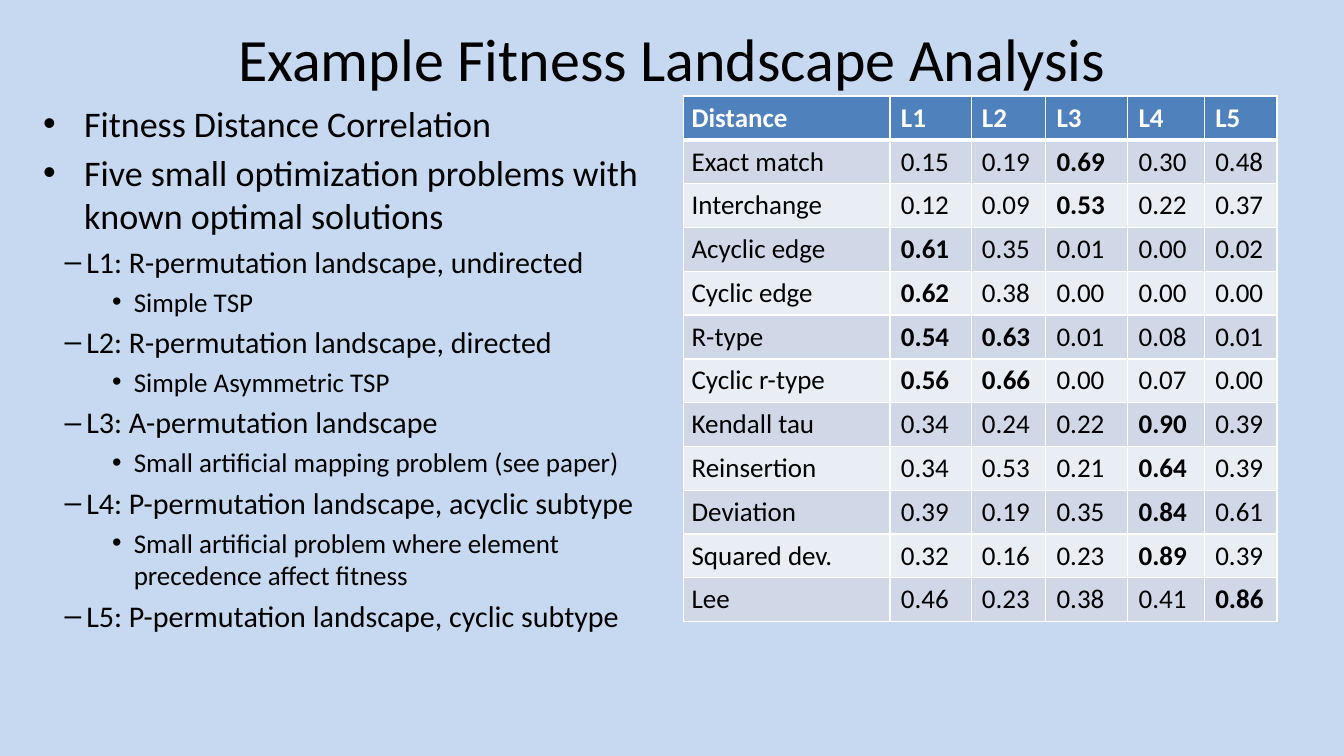
"""Build the fitness landscape analysis slide."""
from dataclasses import dataclass

from lxml import etree
from pptx import Presentation
from pptx.dml.color import RGBColor
from pptx.enum.text import MSO_ANCHOR, PP_ALIGN
from pptx.oxml.ns import qn
from pptx.util import Inches, Pt

CENTER, LEFT = PP_ALIGN.CENTER, PP_ALIGN.LEFT
MIDDLE, TOP = MSO_ANCHOR.MIDDLE, MSO_ANCHOR.TOP
FONT = "Calibri"
BLACK = RGBColor(0x00, 0x00, 0x00)
WHITE = RGBColor(0xFF, 0xFF, 0xFF)
SKY = RGBColor(0xC6, 0xD9, 0xF1)
HEADER_BLUE = RGBColor(0x4F, 0x81, 0xBD)
BANDS = (RGBColor(0xD0, 0xD8, 0xE8), RGBColor(0xE9, 0xED, 0xF4))
SLIDE_WIDTH, SLIDE_HEIGHT = Inches(12.44), Inches(7)


@dataclass(frozen=True)
class Area:
    """A rectangle in percent of the slide's width and height."""
    left: float
    top: float
    width: float
    height: float

    def box(self) -> tuple[int, int, int, int]:
        """Return the rectangle as slide lengths."""
        return (across(self.left), down(self.top), across(self.width), down(self.height))


@dataclass(frozen=True)
class Level:
    """The look of one outline level, with indents in percent of the slide's width."""
    size: int
    margin: float
    hanging: float
    bullet: str


@dataclass(frozen=True)
class Measure:
    """A distance measure with its correlations and its bold landscapes."""
    name: str
    values: str
    strong: tuple[str, ...]


TITLE_AREA = Area(4.98, 2.29, 90, 10.57)
OUTLINE_AREA = Area(2.41, 12.71, 46.78, 71.29)
TABLE_AREA = Area(50.88, 12.71, 44.14, 69.57)
COLUMN_SHARES = (15.35, 6.03, 5.55, 6.11, 5.71, 5.39)
FIRST_COLUMN_INSET = 0.58
LEVELS = (
    Level(24, 3.05, 3.05, "•"),
    Level(20, 3.22, 1.61, "–"),
    Level(18, 6.75, 1.61, "•"),
)
OUTLINE = (
    (0, "Fitness Distance Correlation"),
    (0, "Five small optimization problems with known optimal solutions"),
    (1, "L1: R-permutation landscape, undirected"),
    (2, "Simple TSP"),
    (1, "L2: R-permutation landscape, directed"),
    (2, "Simple Asymmetric TSP"),
    (1, "L3: A-permutation landscape"),
    (2, "Small artificial mapping problem (see paper)"),
    (1, "L4: P-permutation landscape, acyclic subtype"),
    (2, "Small artificial problem where element precedence affect fitness"),
    (1, "L5: P-permutation landscape, cyclic subtype"),
)
HEADINGS = ("Distance", "L1", "L2", "L3", "L4", "L5")
MEASURES = (
    Measure("Exact match", "0.15 0.19 0.69 0.30 0.48", ("L3",)),
    Measure("Interchange", "0.12 0.09 0.53 0.22 0.37", ("L3",)),
    Measure("Acyclic edge", "0.61 0.35 0.01 0.00 0.02", ("L1",)),
    Measure("Cyclic edge", "0.62 0.38 0.00 0.00 0.00", ("L1",)),
    Measure("R-type", "0.54 0.63 0.01 0.08 0.01", ("L1", "L2")),
    Measure("Cyclic r-type", "0.56 0.66 0.00 0.07 0.00", ("L1", "L2")),
    Measure("Kendall tau", "0.34 0.24 0.22 0.90 0.39", ("L4",)),
    Measure("Reinsertion", "0.34 0.53 0.21 0.64 0.39", ("L4",)),
    Measure("Deviation", "0.39 0.19 0.35 0.84 0.61", ("L4",)),
    Measure("Squared dev.", "0.32 0.16 0.23 0.89 0.39", ("L4",)),
    Measure("Lee", "0.46 0.23 0.38 0.41 0.86", ("L5",)),
)


def across(percent: float) -> int:
    """Return a share of the slide's width."""
    return round(SLIDE_WIDTH * percent / 100)


def down(percent: float) -> int:
    """Return a share of the slide's height."""
    return round(SLIDE_HEIGHT * percent / 100)


def format_paragraph(paragraph, size: int, color: RGBColor = BLACK,
                     bold: bool = False, alignment=LEFT) -> None:
    """Apply alignment and font to a paragraph and its runs."""
    paragraph.alignment = alignment
    for run in paragraph.runs:
        run.font.name = FONT
        run.font.size = Pt(size)
        run.font.bold = bold
        run.font.color.rgb = color


def add_text_frame(slide, area: Area, anchor):
    """Add a wrapping text box and return its text frame."""
    frame = slide.shapes.add_textbox(*area.box()).text_frame
    frame.word_wrap = True
    frame.vertical_anchor = anchor
    return frame


def add_title(slide, text: str) -> None:
    """Add the centred slide title."""
    frame = add_text_frame(slide, TITLE_AREA, MIDDLE)
    frame.text = text
    format_paragraph(frame.paragraphs[0], 40, alignment=CENTER)


def add_outline(slide) -> None:
    """Add the bulleted outline."""
    frame = add_text_frame(slide, OUTLINE_AREA, TOP)
    frame.text = "\n".join(text for _, text in OUTLINE)
    for paragraph, (depth, _) in zip(frame.paragraphs, OUTLINE):
        level = LEVELS[depth]
        paragraph.level = depth
        paragraph.space_before = Pt(4)
        format_paragraph(paragraph, level.size)
        properties = paragraph._p.get_or_add_pPr()
        properties.set("marL", str(across(level.margin)))
        properties.set("indent", str(-across(level.hanging)))
        etree.SubElement(properties, qn("a:buFont"), typeface="Arial")
        etree.SubElement(properties, qn("a:buChar"), char=level.bullet)


def add_borders(cell, row: int) -> None:
    """Draw white cell borders, thicker between header and body."""
    properties = cell._tc.get_or_add_tcPr()
    heavy = {0: "lnB", 1: "lnT"}.get(row)
    for side in ("lnL", "lnR", "lnT", "lnB"):
        width = Pt(3 if side == heavy else 1)
        line = etree.SubElement(properties, qn(f"a:{side}"), w=str(width))
        fill = etree.SubElement(line, qn("a:solidFill"))
        etree.SubElement(fill, qn("a:srgbClr"), val=str(WHITE))


def add_correlation_table(slide) -> None:
    """Add the table of correlations for each distance measure."""
    rows = [HEADINGS] + [(item.name, *item.values.split()) for item in MEASURES]
    table = slide.shapes.add_table(len(rows), len(HEADINGS), *TABLE_AREA.box()).table
    for column, share in zip(table.columns, COLUMN_SHARES):
        column.width = across(share)
    for row, texts in enumerate(rows):
        table.rows[row].height = down(TABLE_AREA.height / len(rows))
        header = row == 0
        strong = HEADINGS if header else MEASURES[row - 1].strong
        for column, (heading, text) in enumerate(zip(HEADINGS, texts)):
            cell = table.cell(row, column)
            cell.text = text
            if column == 0:
                cell.margin_left = cell.margin_right = across(FIRST_COLUMN_INSET)
            add_borders(cell, row)
            cell.fill.solid()
            cell.fill.fore_color.rgb = HEADER_BLUE if header else BANDS[(row - 1) % 2]
            format_paragraph(cell.text_frame.paragraphs[0], 18,
                             WHITE if header else BLACK, heading in strong)


def main() -> None:
    """Create and save the presentation."""
    presentation = Presentation()
    presentation.slide_width, presentation.slide_height = SLIDE_WIDTH, SLIDE_HEIGHT
    slide = presentation.slides.add_slide(presentation.slide_layouts[6])
    slide.background.fill.solid()
    slide.background.fill.fore_color.rgb = SKY
    add_title(slide, "Example Fitness Landscape Analysis")
    add_outline(slide)
    add_correlation_table(slide)
    presentation.save("out.pptx")


main()
